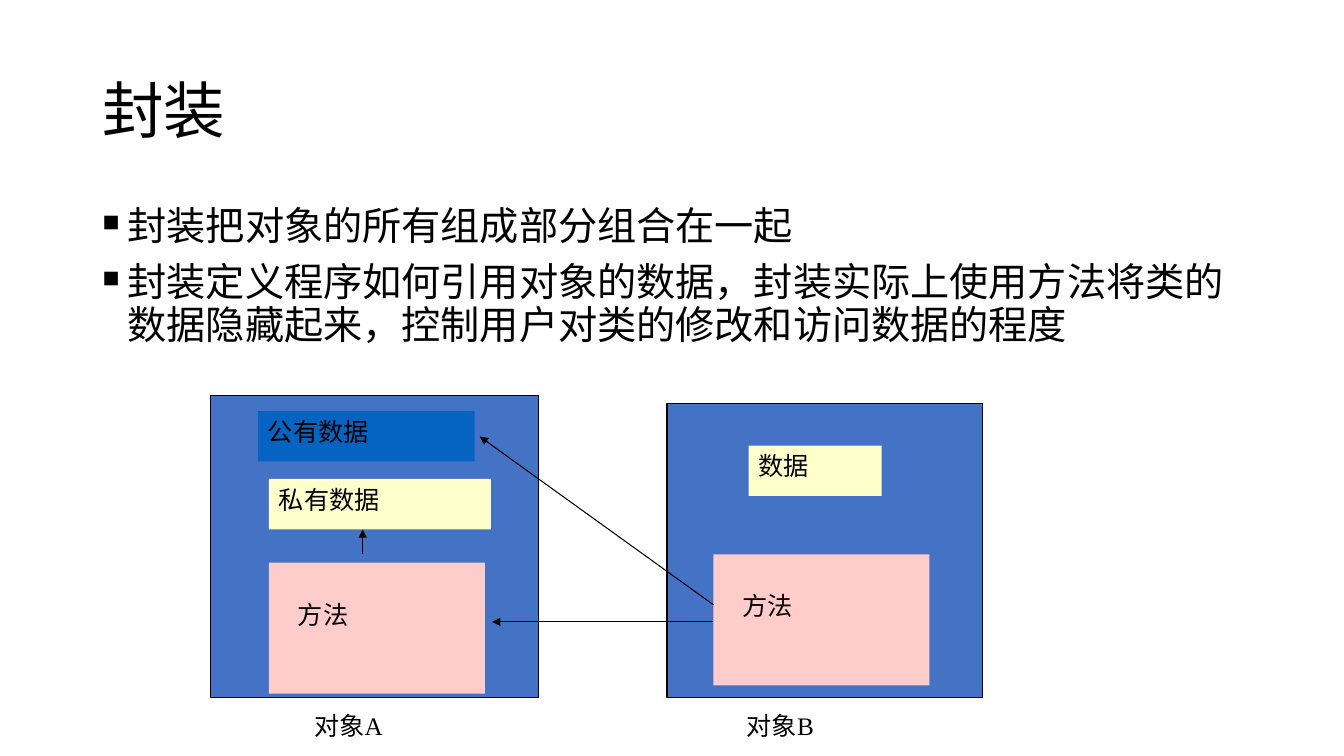
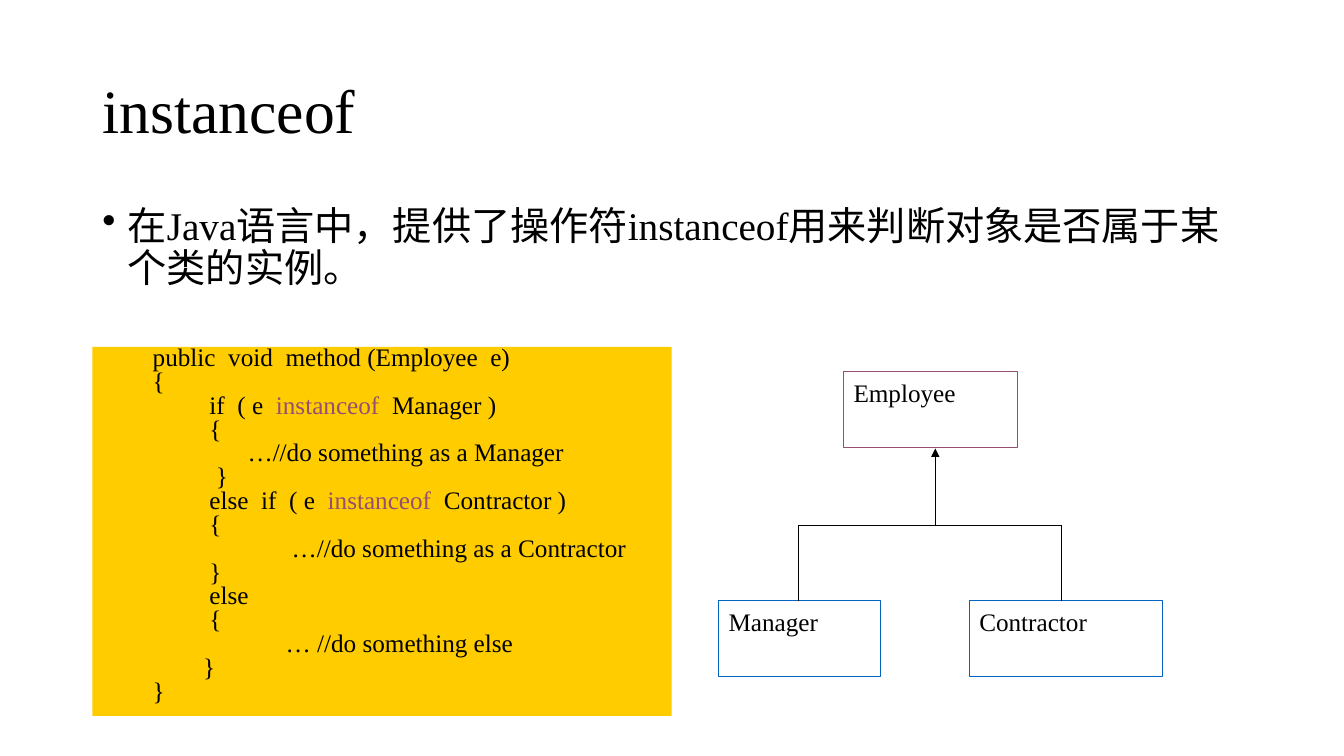
from dataclasses import dataclass

from lxml.etree import SubElement
from pptx import Presentation
from pptx.dml.color import RGBColor
from pptx.enum.shapes import MSO_CONNECTOR, MSO_SHAPE
from pptx.enum.text import MSO_ANCHOR, MSO_AUTO_SIZE, PP_ALIGN
from pptx.oxml.ns import qn
from pptx.util import Cm, Pt


@dataclass(frozen=True)
class Theme:
    ink: str = "000000"
    panel: str = "4472C4"
    blue: str = "0563C1"
    cream: str = "FFFFCC"
    pink: str = "FFCCCC"
    gold: str = "FFCC00"
    plum: str = "954F72"
    latin: str = "Times New Roman"
    accent: str = "Karla"
    cjk: str = "Noto Sans CJK SC"
    title: int = 44
    body: int = 28
    label: int = 18
    line: float = 0.75


T = Theme()

# Lengths are centimetres; boxes are left, top, width, height.
TITLE_BOX = (2.33, 1.02, 29.21, 3.68)
INSET = (0.25, 0.13)
METHOD_INSET = (0.73, 0.91)

ENCAPSULATION = {
    "title": "封装",
    "body_height": 12.09,
    "bullet": ("■", 60),
    "bullets": [
        ("封装把对象的所有组成部分组合在一起", T.accent),
        ("封装定义程序如何引用对象的数据，封装实际上使用方法将类的数据隐藏起来，"
         "控制用户对类的修改和访问数据的程度", T.latin),
    ],
    # text, box, fill, line, inset
    "boxes": [
        ("", (5.31, 9.96, 8.26, 7.62), T.panel, T.ink, INSET),
        ("私有数据", (6.78, 12.07, 5.59, 1.27), T.cream, None, INSET),
        ("方法", (6.78, 14.18, 5.44, 3.3), T.pink, None, METHOD_INSET),
        ("", (16.81, 10.16, 7.95, 7.42), T.panel, T.ink, INSET),
        ("方法", (17.98, 13.97, 5.44, 3.3), T.pink, None, METHOD_INSET),
        ("数据", (18.87, 11.23, 3.35, 1.27), T.cream, None, INSET),
        ("对象A", (7.67, 17.78, 3.94, 1.27), None, None, INSET),
        ("对象B", (18.57, 17.78, 3.86, 1.27), None, None, INSET),
        ("公有数据", (6.5, 10.36, 5.46, 1.27), T.blue, None, INSET),
    ],
    # start, end, arrowhead
    "lines": [
        ((9.14, 13.97), (9.14, 13.34), True),
        ((17.98, 15.67), (12.4, 15.67), True),
        ((17.98, 15.24), (12.09, 11), True),
    ],
}

BAR_Y, CHILD_Y = 13.23, 15.14
PARENT_X, LEFT_X, RIGHT_X = 23.57, 20.12, 26.75

INSTANCEOF = {
    "title": "instanceof",
    "body_height": 13.26,
    "bullet": ("•", 100),
    "bullets": [
        ("在Java语言中，提供了操作符instanceof用来判断对象是否属于某个类的实例。",
         T.latin),
    ],
    "boxes": [
        ("Employee", (21.26, 9.37, 4.39, 1.91), None, T.plum, INSET),
        ("Manager", (18.11, CHILD_Y, 4.09, 1.91), None, T.blue, INSET),
        ("Contractor", (24.43, CHILD_Y, 4.88, 1.91), None, T.blue, INSET),
    ],
    "lines": [
        ((PARENT_X, BAR_Y), (PARENT_X, 11.3), True),
        ((LEFT_X, BAR_Y), (RIGHT_X, BAR_Y), False),
        ((LEFT_X, BAR_Y), (LEFT_X, CHILD_Y), False),
        ((RIGHT_X, BAR_Y), (RIGHT_X, CHILD_Y), False),
    ],
}

CODE_BOX = (2.33, 8.74, 14.6, 9.3)
KEYWORD = "instanceof"
CODE = [  # indent, text
    (1.27, "public  void  method (Employee  e)"),
    (1.27, "{"),
    (2.7, "if  ( e  instanceof  Manager )"),
    (2.7, "{"),
    (3.66, "…//do something as a Manager"),
    (2.86, "}"),
    (2.7, "else  if  ( e  instanceof  Contractor )"),
    (2.7, "{"),
    (4.77, "…//do something as a Contractor"),
    (2.7, "}"),
    (2.7, "else"),
    (2.7, "{"),
    (4.62, "… //do something else"),
    (2.54, "}"),
    (1.27, "}"),
]


def cm(values):
    return [Cm(v) for v in values]


def add_run(p, text, size, color=T.ink, font=T.latin):
    r = p.add_run()
    r.text = text
    for name, value in {"size": Pt(size), "name": font}.items():
        setattr(r.font, name, value)
    r.font.color.rgb = RGBColor.from_string(color)
    east_asian = SubElement(r.font._element, qn("a:ea"), typeface=T.cjk)
    r.font._element.find(qn("a:latin")).addnext(east_asian)


def set_frame(tf, inset=INSET, anchor=MSO_ANCHOR.TOP):
    side, edge = cm(inset)
    settings = {
        "word_wrap": True, "auto_size": MSO_AUTO_SIZE.NONE,
        "vertical_anchor": anchor,
        "margin_left": side, "margin_right": Cm(INSET[0]),
        "margin_top": edge, "margin_bottom": Cm(INSET[1]),
    }
    for name, value in settings.items():
        setattr(tf, name, value)


def set_paragraph(p, spacing=1.0, before=0, left=0, hanging=0):
    for name, value in {"alignment": PP_ALIGN.LEFT, "line_spacing": spacing,
                        "space_before": Pt(before)}.items():
        setattr(p, name, value)
    props = p._p.get_or_add_pPr()
    props.set("marL", str(Cm(left)))
    props.set("indent", str(-Cm(hanging)))
    return props


def paragraphs(tf, items):
    """Pair each item with a paragraph, starting with the existing one."""
    for i, item in enumerate(items):
        yield (tf.add_paragraph() if i else tf.paragraphs[0]), item


def add_title(s, text):
    title = s.shapes.title
    title.left, title.top, title.width, title.height = cm(TITLE_BOX)
    set_frame(title.text_frame, anchor=MSO_ANCHOR.MIDDLE)
    p = title.text_frame.paragraphs[0]
    set_paragraph(p, 0.9)
    add_run(p, text, T.title)


def add_bullets(s, bullets, bullet, height):
    char, percent = bullet
    tf = s.shapes.add_textbox(*cm((2.33, 5.08, 29.21, height))).text_frame
    set_frame(tf)
    for p, (text, font) in paragraphs(tf, bullets):
        props = set_paragraph(p, 0.9, before=10, left=0.64, hanging=0.64)
        SubElement(props, qn("a:buSzPct"), val=str(percent * 1000))
        SubElement(props, qn("a:buChar"), char=char)
        add_run(p, text, T.body, font=font)


def add_box(s, text, box, fill=None, line=None, inset=INSET):
    if fill or line:
        sp = s.shapes.add_shape(MSO_SHAPE.RECTANGLE, *cm(box))
        sp.shadow.inherit = False
    else:
        sp = s.shapes.add_textbox(*cm(box))
    for part, color in ((sp.fill, fill), (sp.line.fill, line)):
        if color:
            part.solid()
            part.fore_color.rgb = RGBColor.from_string(color)
        else:
            part.background()
    if line:
        sp.line.width = Pt(T.line)
    set_frame(sp.text_frame, inset)
    if text:
        p = sp.text_frame.paragraphs[0]
        set_paragraph(p)
        add_run(p, text, T.label)
    return sp


def add_line(s, start, end, arrow):
    line = s.shapes.add_connector(MSO_CONNECTOR.STRAIGHT, *cm(start + end))
    line.line.color.rgb = RGBColor.from_string(T.ink)
    line.line.width = Pt(T.line)
    if arrow:
        SubElement(line.line._get_or_add_ln(), qn("a:tailEnd"), type="triangle")
    SubElement(line._element.spPr, qn("a:effectLst"))


def add_code(s):
    tf = add_box(s, "", CODE_BOX, fill=T.gold).text_frame
    for p, (indent, text) in paragraphs(tf, CODE):
        set_paragraph(p, 0.6, before=4.1, left=indent)
        for part in text.partition(KEYWORD):
            if part:
                color = T.plum if part == KEYWORD else T.ink
                add_run(p, part, T.label, color)


def add_slide(prs, content):
    s = prs.slides.add_slide(prs.slide_layouts.get_by_name("Title Only"))
    add_title(s, content["title"])
    add_bullets(s, content["bullets"], content["bullet"], content["body_height"])
    for box in content["boxes"]:
        add_box(s, *box)
    for line in content["lines"]:
        add_line(s, *line)
    return s


def main():
    prs = Presentation()
    prs.slide_width, prs.slide_height = Cm(33.87), Cm(19.05)
    add_slide(prs, ENCAPSULATION)
    add_code(add_slide(prs, INSTANCEOF))
    prs.save("out.pptx")


if __name__ == "__main__":
    main()
